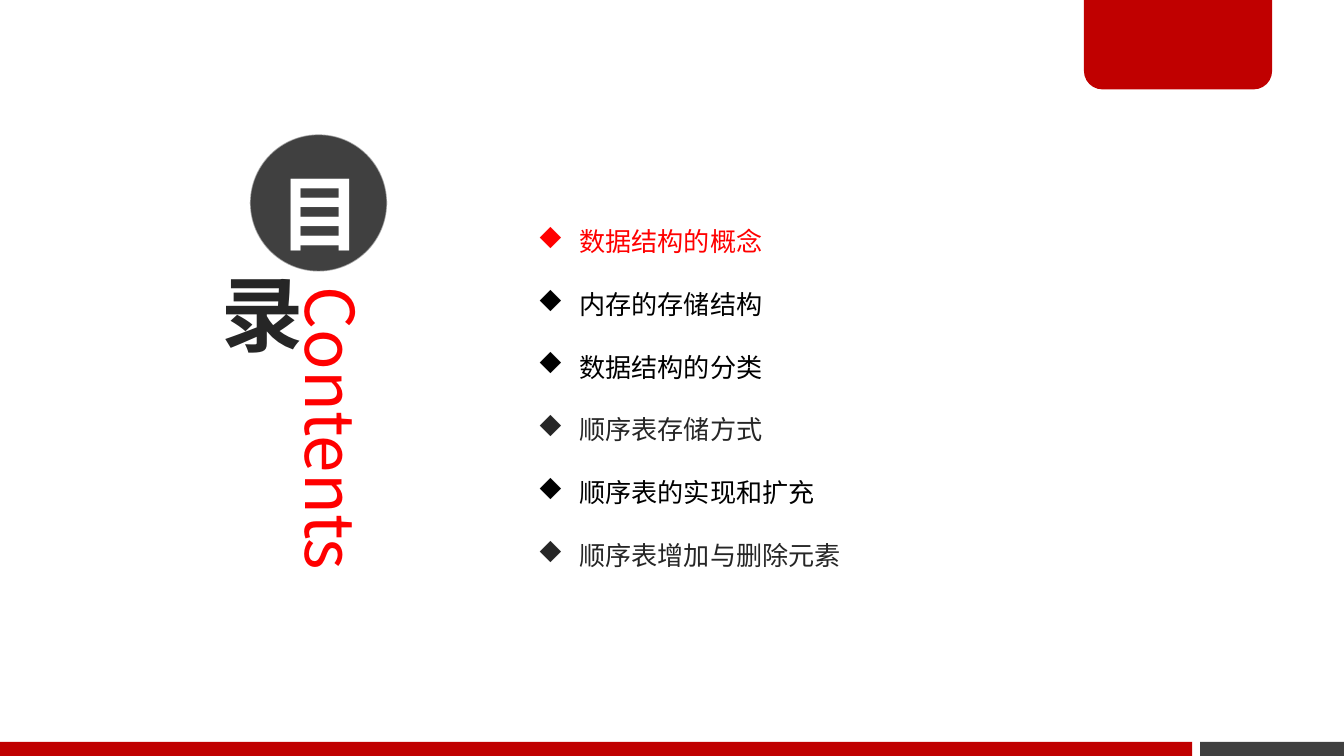
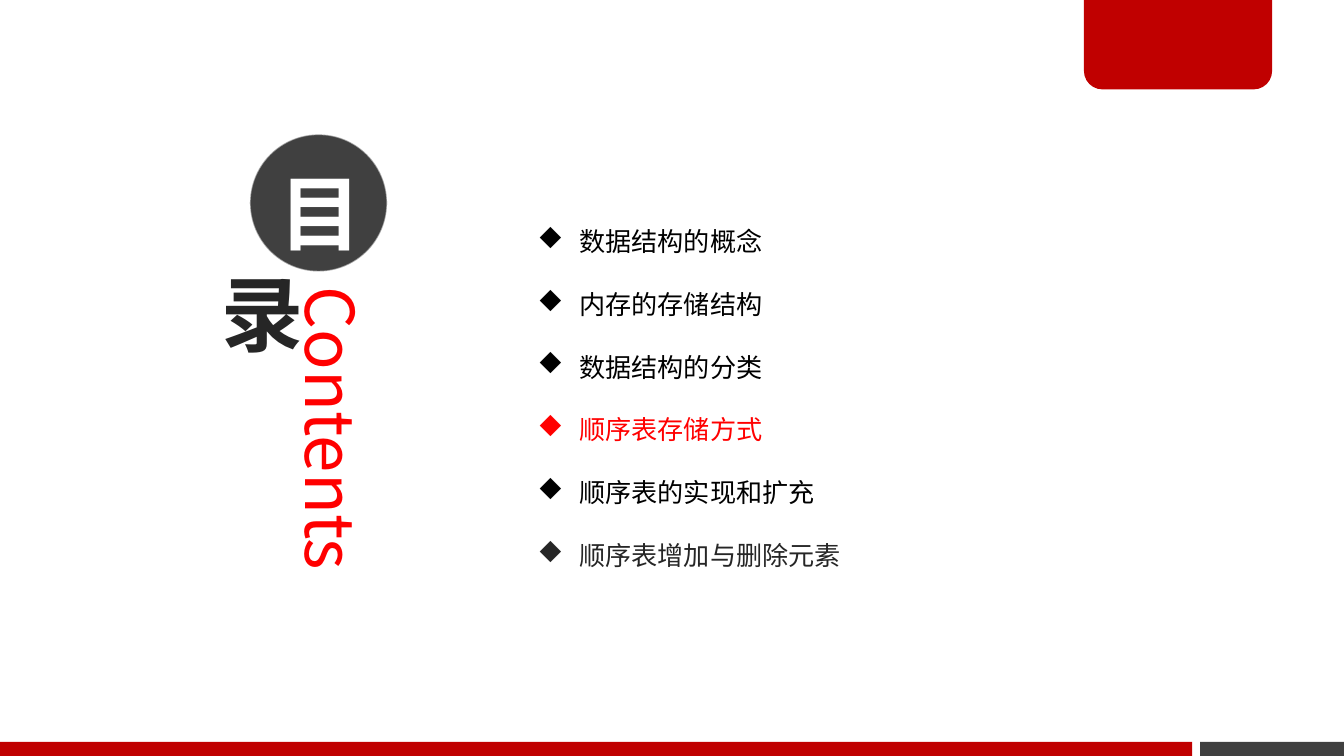
from lxml.etree import SubElement
from pptx import Presentation
from pptx.dml.color import RGBColor
from pptx.enum.shapes import MSO_SHAPE
from pptx.enum.text import MSO_ANCHOR, MSO_AUTO_SIZE, PP_ALIGN
from pptx.oxml import parse_xml
from pptx.oxml.ns import nsdecls, qn
from pptx.util import Inches, Pt

COLORS = {"red": "C00000", "active": "FF0000", "grey": "404040",
          "ink": "262626", "black": "000000", "white": "FFFFFF"}
FONT = "Noto Sans CJK SC"
COLS, ROWS = 100, 56.25
CELL = Inches(0.1)
INDENT = Inches(0.31)
TOPICS = [("数据结构的概念", "black"), ("内存的存储结构", "black"),
          ("数据结构的分类", "black"), ("顺序表存储方式", "ink"),
          ("顺序表的实现和扩充", "black"), ("顺序表增加与删除元素", "ink")]
ACTIVE_TOPICS = [0, 3]
TIGHT = {"margin_left": Inches(0.07), "margin_right": Inches(0.07),
         "margin_top": Inches(0.04), "margin_bottom": Inches(0.04),
         "word_wrap": True, "auto_size": MSO_AUTO_SIZE.NONE}


def rgb(name):
    return RGBColor.from_string(COLORS[name])


def set_all(target, values):
    for name, value in values.items():
        setattr(target, name, value)


def place(sp, *cells):
    """Set left, top, width and height, given in grid cells."""
    edges = (int(n * CELL) for n in cells)
    set_all(sp, dict(zip(("left", "top", "width", "height"), edges)))


def add_shape(slide, kind, cells, fill=None):
    sp = slide.shapes.add_shape(kind, *(int(n * CELL) for n in cells))
    sp.shadow.inherit = False
    sp.line.fill.background()
    if fill:
        sp.fill.solid()
        sp.fill.fore_color.rgb = rgb(fill)
    else:
        sp.fill.background()
    return sp


def write(p, text, size, color, bold=False):
    r = p.add_run()
    r.text = text
    set_all(r.font, {"size": Pt(size), "bold": bold, "name": FONT})
    r.font.color.rgb = rgb(color)
    SubElement(r._r.get_or_add_rPr(), qn("a:ea"), typeface=FONT)
    return r


def add_character(slide, text, cells, color, fill=None, **frame):
    """Put one large bold character in a circle."""
    sp = add_shape(slide, MSO_SHAPE.OVAL, cells, fill)
    tf = sp.text_frame
    set_all(tf, {**TIGHT, "vertical_anchor": MSO_ANCHOR.MIDDLE, **frame})
    p = tf.paragraphs[0]
    p.alignment = PP_ALIGN.CENTER
    return sp, p, write(p, text, 44, color, bold=True)


def add_heading(slide):
    title = slide.shapes.title
    place(title, 21.4, 20.95, 7, 28.9)
    tf = title.text_frame
    set_all(tf, {**TIGHT, "vertical_anchor": MSO_ANCHOR.TOP})
    tf._txBody.bodyPr.set("vert", "eaVert")
    p = tf.paragraphs[0]
    p.alignment = PP_ALIGN.LEFT
    write(p, "Contents", 36, "active")

    sp, p, _ = add_character(slide, "目", (18.6, 10, 10.2, 10.2), "white",
                             "grey", margin_bottom=Inches(0.15))
    p.line_spacing = Pt(70)
    sp.line.color.rgb = rgb("white")
    sp.line.width = 0
    SubElement(sp.line._ln.find(".//" + qn("a:srgbClr")),
               qn("a:alpha"), val="49000")

    _, _, r = add_character(slide, "录", (14.6, 19.25, 8, 8), "ink")
    r._r.get_or_add_rPr().insert(0, parse_xml(
        f'<a:ln {nsdecls("a")} w="{Pt(0.25)}"><a:solidFill>'
        f'<a:srgbClr val="{COLORS["white"]}"/></a:solidFill></a:ln>'))


def add_topics(slide, active):
    body = slide.placeholders[1]
    place(body, 39, 13.95, 47.2, 28.6)
    tf = body.text_frame
    set_all(tf, {"word_wrap": True, "auto_size": MSO_AUTO_SIZE.NONE,
                 "vertical_anchor": MSO_ANCHOR.TOP})
    for i, (text, color) in enumerate(TOPICS):
        p = tf.add_paragraph() if i else tf.paragraphs[0]
        set_all(p, {"line_spacing": 2.0, "space_before": Pt(0),
                    "alignment": PP_ALIGN.LEFT})
        pPr = p._p.get_or_add_pPr()
        pPr.set("marL", str(INDENT))
        pPr.set("indent", str(-INDENT))
        # In Wingdings the letter u is the diamond ◆.
        SubElement(pPr, qn("a:buFont"), typeface="Wingdings",
                   pitchFamily="2", charset="2")
        SubElement(pPr, qn("a:buChar"), char="u")
        write(p, text, 14, "active" if i == active else color)


def decorate_layout(layout, slide):
    """Build the shared bands on a slide, then move them to its layout."""
    bar_top, split, gap = 55.2, 88.7, 0.6
    bar_height, right = ROWS - bar_top, split + gap
    tab = add_shape(slide, MSO_SHAPE.ROUND_2_SAME_RECTANGLE,
                    (80.65, -0.2, 14, 6.85), "red")
    tab.rotation = 180
    tab.adjustments[0] = 0.2
    bands = [
        add_shape(slide, MSO_SHAPE.RECTANGLE,
                  (right, bar_top, COLS - right, bar_height), "grey"),
        tab,
        add_shape(slide, MSO_SHAPE.RECTANGLE,
                  (0, bar_top, split, bar_height), "red"),
    ]
    for sp in bands:
        layout.shapes.element.append(sp.element)


def main():
    prs = Presentation()
    prs.slide_width, prs.slide_height = int(COLS * CELL), int(ROWS * CELL)
    layout = prs.slide_layouts[1]
    for i, active in enumerate(ACTIVE_TOPICS):
        slide = prs.slides.add_slide(layout)
        if i == 0:
            decorate_layout(layout, slide)
        add_heading(slide)
        add_topics(slide, active)
    prs.save("out.pptx")


if __name__ == "__main__":
    main()
